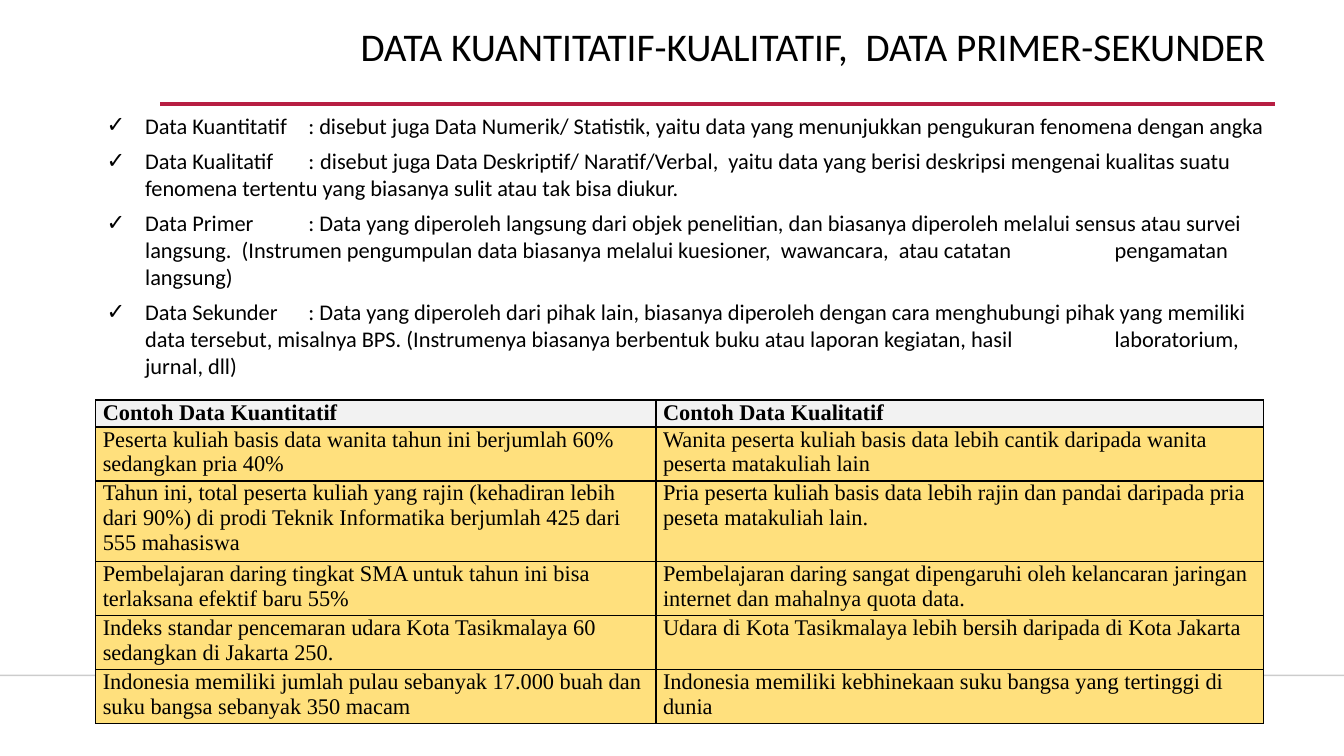
import pptx
import pptx.dml.color
import pptx.enum.shapes
import pptx.enum.text
import pptx.oxml
import pptx.oxml.ns
import pptx.util
from pptx.util import Cm

PP_ALIGN = pptx.enum.text.PP_ALIGN
BLACK = "000000"

DEFINITIONS = [
    "Data Kuantitatif\t: disebut juga Data Numerik/ Statistik, yaitu data yang menunjukkan "
    "pengukuran fenomena dengan angka",
    "Data Kualitatif\t: \tdisebut juga Data Deskriptif/ Naratif/Verbal,  yaitu data yang berisi "
    "deskripsi mengenai kualitas suatu \t\tfenomena tertentu yang biasanya sulit atau tak bisa diukur.",
    "Data Primer\t: Data yang diperoleh langsung dari objek penelitian, dan biasanya diperoleh "
    "melalui sensus atau survei \t\tlangsung.  (Instrumen pengumpulan data biasanya melalui "
    "kuesioner,  wawancara,  atau catatan \t\tpengamatan langsung)",
    "Data Sekunder\t: Data yang diperoleh dari pihak lain, biasanya diperoleh dengan cara "
    "menghubungi pihak yang memiliki \t\tdata tersebut, misalnya BPS. (Instrumenya biasanya "
    "berbentuk buku atau laporan kegiatan, hasil \t\tlaboratorium, jurnal, dll)",
]

EXAMPLES = [
    ("Contoh Data Kuantitatif", "Contoh Data Kualitatif"),
    ("Peserta kuliah basis data wanita tahun ini berjumlah 60% sedangkan pria 40%",
     "Wanita peserta kuliah basis data lebih cantik daripada wanita peserta matakuliah lain"),
    ("Tahun ini, total peserta kuliah yang rajin (kehadiran lebih dari 90%) di prodi Teknik "
     "Informatika berjumlah 425 dari 555 mahasiswa",
     "Pria peserta kuliah basis data lebih rajin dan pandai daripada pria peseta matakuliah lain."),
    ("Pembelajaran daring tingkat SMA untuk tahun ini bisa terlaksana efektif baru 55%",
     "Pembelajaran daring sangat dipengaruhi oleh kelancaran jaringan internet dan mahalnya quota data."),
    ("Indeks standar pencemaran udara Kota Tasikmalaya 60 sedangkan di Jakarta 250.",
     "Udara di Kota Tasikmalaya lebih bersih daripada di Kota Jakarta"),
    ("Indonesia memiliki jumlah pulau sebanyak 17.000 buah dan suku bangsa sebanyak 350 macam",
     "Indonesia memiliki kebhinekaan suku bangsa yang tertinggi di dunia"),
]
COLUMN_WIDTHS = [14.12, 15.32]
ROW_HEIGHTS = [0.68, 1.36, 2.01, 1.36, 1.36, 1.36]


def color(hex_code):
    return pptx.dml.color.RGBColor.from_string(hex_code)


def element(xml):
    return pptx.oxml.parse_xml(xml.replace(" ", f" {pptx.oxml.ns.nsdecls('a')} ", 1))


def add_run(paragraph, text, size, font="Calibri", bold=False):
    run = paragraph.add_run()
    run.text = text
    run.font.name = font
    run.font.size = pptx.util.Pt(size)
    run.font.bold = bold
    run.font.color.rgb = color(BLACK)


def add_rule(slide, left, right, y, hex_code, width, opacity=100):
    rule = slide.shapes.add_connector(
        pptx.enum.shapes.MSO_CONNECTOR.STRAIGHT, Cm(left), Cm(y), Cm(right), Cm(y))
    rule.line.color.rgb = color(hex_code)
    rule.line.width = pptx.util.Pt(width)
    properties = rule.element.spPr
    if opacity < 100:
        fill_color = properties.find(".//" + pptx.oxml.ns.qn("a:srgbClr"))
        fill_color.append(element(f'<a:alpha val="{opacity * 1000}"/>'))
    properties.append(element("<a:effectLst />"))


def add_text_frame(slide, left, top, width, height):
    frame = slide.shapes.add_textbox(Cm(left), Cm(top), Cm(width), Cm(height)).text_frame
    frame.word_wrap = True
    return frame


def add_title(slide, text):
    heading = add_text_frame(slide, 3.99, 0.58, 28.14, 1.75).paragraphs[0]
    heading.alignment = PP_ALIGN.RIGHT
    heading.line_spacing = 0.9
    add_run(heading, text, 28)


def add_definitions(slide, definitions):
    frame = add_text_frame(slide, 2.44, 2.69, 29.87, 7.06)
    for index, text in enumerate(definitions):
        definition = frame.add_paragraph() if index else frame.paragraphs[0]
        definition.space_before = definition.space_after = pptx.util.Pt(3)
        properties = definition._p.get_or_add_pPr()
        properties.set("marL", str(Cm(0.97)))
        properties.set("indent", str(Cm(-0.97)))
        properties.append(element('<a:buFont typeface="Calibri"/>'))
        properties.append(element('<a:buChar char="✓"/>'))
        stops = "".join(f'<a:tab pos="{Cm(stop)}" algn="l"/>' for stop in (5.08, 5.38))
        properties.append(element(f"<a:tabLst >{stops}</a:tabLst>"))
        add_run(definition, text, 16)


def style_cell(cell, hex_code):
    cell.margin_left = cell.margin_right = Cm(0.18)
    cell.margin_top = cell.margin_bottom = 0
    properties = cell._tc.get_or_add_tcPr()
    for side in ("lnL", "lnR", "lnT", "lnB"):
        properties.append(element(
            f'<a:{side} w="12700"><a:solidFill><a:srgbClr val="{BLACK}"/>'
            f"</a:solidFill></a:{side}>"))
    cell.fill.solid()
    cell.fill.fore_color.rgb = color(hex_code)


def add_examples(slide, examples):
    table = slide.shapes.add_table(
        len(examples), len(COLUMN_WIDTHS), Cm(2.41), Cm(10.08),
        Cm(sum(COLUMN_WIDTHS)), Cm(sum(ROW_HEIGHTS))).table
    table.first_row = table.horz_banding = False
    for column, width in zip(table.columns, COLUMN_WIDTHS):
        column.width = Cm(width)
    for row_index, (row, texts) in enumerate(zip(table.rows, examples)):
        row.height = Cm(ROW_HEIGHTS[row_index])
        header = row_index == 0
        for cell, text in zip(row.cells, texts):
            style_cell(cell, "F2F2F2" if header else "FFE07D")
            example = cell.text_frame.paragraphs[0]
            example.alignment = PP_ALIGN.JUSTIFY if header else PP_ALIGN.LEFT
            add_run(example, text, 16, "Times New Roman", header)


def main():
    deck = pptx.Presentation()
    deck.slide_width, deck.slide_height = Cm(33.87), Cm(19.05)
    slide = deck.slides.add_slide(deck.slide_layouts[6])
    add_rule(slide, 0, 33.87, 17.02, "000001", 1, opacity=20)
    add_rule(slide, 4.04, 32.13, 2.62, "B71E42", 2.5)
    add_title(slide, "DATA KUANTITATIF-KUALITATIF,  DATA PRIMER-SEKUNDER")
    add_definitions(slide, DEFINITIONS)
    add_examples(slide, EXAMPLES)
    deck.save("out.pptx")


if __name__ == "__main__":
    main()
